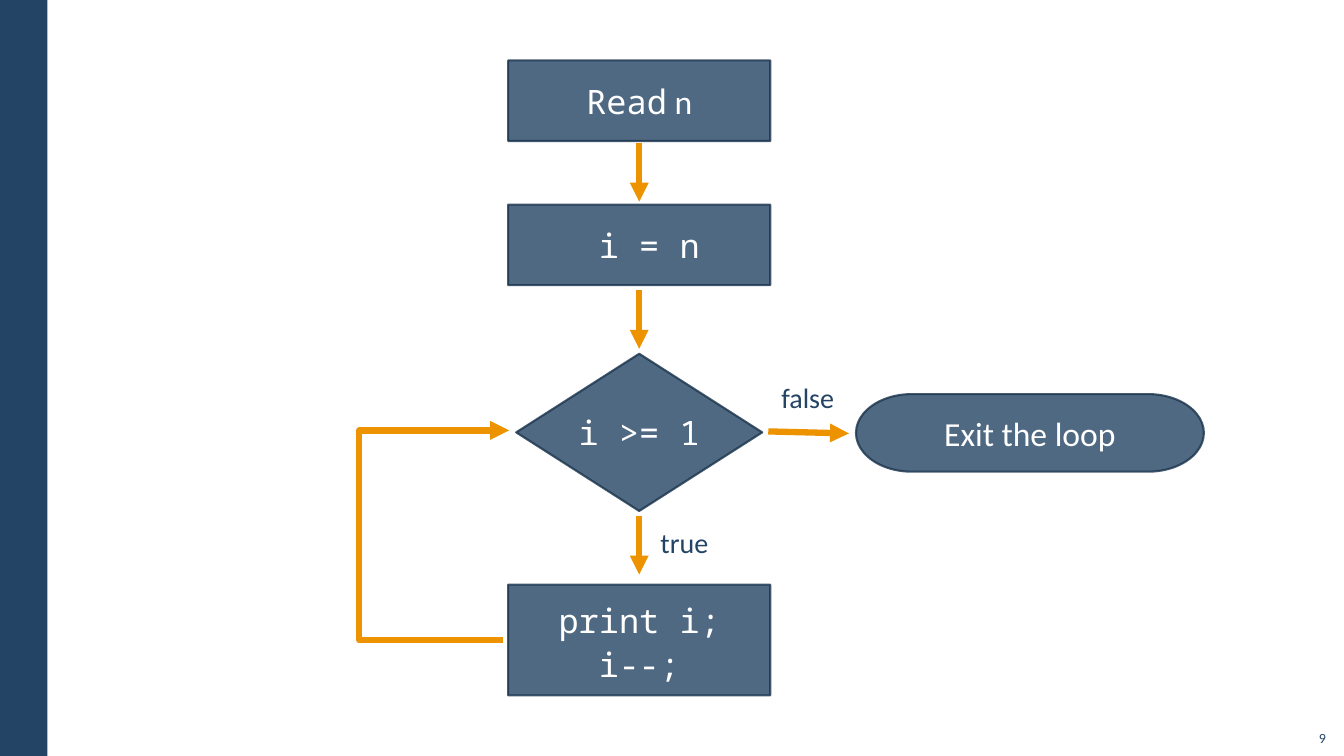
from lxml import etree
from pptx import Presentation
from pptx.dml.color import RGBColor
from pptx.enum.shapes import MSO_CONNECTOR, MSO_SHAPE
from pptx.enum.text import MSO_ANCHOR, PP_ALIGN
from pptx.oxml.ns import qn
from pptx.util import Inches, Pt

RECTANGLE = MSO_SHAPE.RECTANGLE
DECISION = MSO_SHAPE.FLOWCHART_DECISION
TERMINATOR = MSO_SHAPE.FLOWCHART_TERMINATOR
STRAIGHT, ELBOW = MSO_CONNECTOR.STRAIGHT, MSO_CONNECTOR.ELBOW
LEFT, CENTER, RIGHT = PP_ALIGN.LEFT, PP_ALIGN.CENTER, PP_ALIGN.RIGHT
MIDDLE = MSO_ANCHOR.MIDDLE

NAVY, EDGE, ORANGE, WHITE = "234465", "1A334C", "ED9300", "FFFFFF"
SANS, MONO = "Calibri", "Noto Sans Mono"


def set_color(color_format, value, alpha=None):
    color_format.rgb = RGBColor.from_string(value)
    if alpha is not None:
        color = color_format._xFill.find(qn("a:srgbClr"))
        etree.SubElement(color, qn("a:alpha"), val=str(alpha * 1000))


def write(shape, lines, size=24, color=WHITE, font=MONO, align=CENTER,
          spacing=1.0, wrap=True):
    frame = shape.text_frame
    frame.word_wrap = wrap
    frame.vertical_anchor = MIDDLE
    frame.margin_left = frame.margin_right = Inches(0.05)
    frame.margin_top = frame.margin_bottom = Inches(0.05)
    for index, line in enumerate(lines):
        para = frame.paragraphs[0] if index == 0 else frame.add_paragraph()
        para.alignment = align
        para.line_spacing = spacing
        for text, face in [(line, font)] if isinstance(line, str) else line:
            span = para.add_run()
            span.text = text
            span.font.name = face
            span.font.size = Pt(size)
            set_color(span.font.color, color)


def add_label(page, text, left, top, width, height, **style):
    box = page.shapes.add_textbox(
        Inches(left), Inches(top), Inches(width), Inches(height))
    write(box, [text], color=NAVY, font=SANS, **style)


def add_step(page, kind, left, top, width, height, lines, **style):
    step = page.shapes.add_shape(
        kind, Inches(left), Inches(top), Inches(width), Inches(height))
    step.shadow.inherit = False
    step.fill.solid()
    set_color(step.fill.fore_color, NAVY, alpha=80)
    step.line.width = Pt(1.5)
    step.line.fill.solid()
    set_color(step.line.fill.fore_color, EDGE, alpha=80)
    write(step, lines, **style)


def add_arrow(page, start, end, kind=STRAIGHT):
    arrow = page.shapes.add_connector(
        kind, *(Inches(value) for value in (*start, *end)))
    arrow.line.width = Pt(4.5)
    arrow.line.fill.solid()
    set_color(arrow.line.fill.fore_color, ORANGE)
    etree.SubElement(arrow.line._get_or_add_ln(), qn("a:tailEnd"), type="triangle")
    etree.SubElement(arrow._element.spPr, qn("a:effectLst"))
    return arrow


def add_loop_back(page, start, end, turn):
    arrow = add_arrow(page, start, end, ELBOW)
    bend = round((turn - start[0]) / (end[0] - start[0]) * 100000)
    guides = arrow._element.spPr.find(qn("a:prstGeom")).get_or_add_avLst()
    etree.SubElement(guides, qn("a:gd"), name="adj1", fmla=f"val {bend}")


def add_side_bar(page, width, height):
    bar = page.shapes.add_shape(RECTANGLE, 0, 0, Inches(width), Inches(height))
    bar.shadow.inherit = False
    bar.fill.solid()
    set_color(bar.fill.fore_color, NAVY)
    bar.line.fill.background()


def add_flowchart(page, left, top, width):
    center = left + width / 2
    add_step(page, RECTANGLE, left, top, width, 0.8,
             [[("Read", MONO), (" n", SANS)]])
    add_step(page, RECTANGLE, left, top + 1.43, width, 0.8, [" i = n"])
    add_step(page, DECISION, center - 1.22, top + 2.91, 2.44, 1.56,
             ["i >= 1"], wrap=False)
    add_step(page, RECTANGLE, left, top + 5.2, width, 1.1,
             ["print i;", "i--;"], spacing=1.1)
    add_step(page, TERMINATOR, left + 3.45, top + 3.31, 3.45, 0.77,
             ["Exit the loop"], font=SANS)

    for offset in (0.82, 2.28, 4.52):
        add_arrow(page, (center, top + offset), (center, top + offset + 0.58))
    add_arrow(page, (left + 2.58, top + 3.68), (left + 3.38, top + 3.7))
    add_loop_back(page, (left - 0.05, top + 5.75), (left + 0.01, top + 3.67),
                  left - 1.48)

    add_label(page, "false", left + 2.66, top + 3.03, 0.64, 0.6,
              size=20, align=LEFT, spacing=1.1, wrap=False)
    add_label(page, "true", left + 1.46, top + 4.46, 0.58, 0.6,
              size=20, align=LEFT, spacing=1.1, wrap=False)


def main():
    deck = Presentation()
    deck.slide_width, deck.slide_height = Inches(13.33), Inches(7.5)
    page = deck.slides.add_slide(deck.slide_layouts[6])
    add_side_bar(page, 0.47, 7.5)
    add_flowchart(page, 5.04, 0.6, 2.6)
    add_label(page, "9", 12.85, 7.16, 0.35, 0.32, size=10, align=RIGHT)
    deck.save("out.pptx")


if __name__ == "__main__":
    main()
